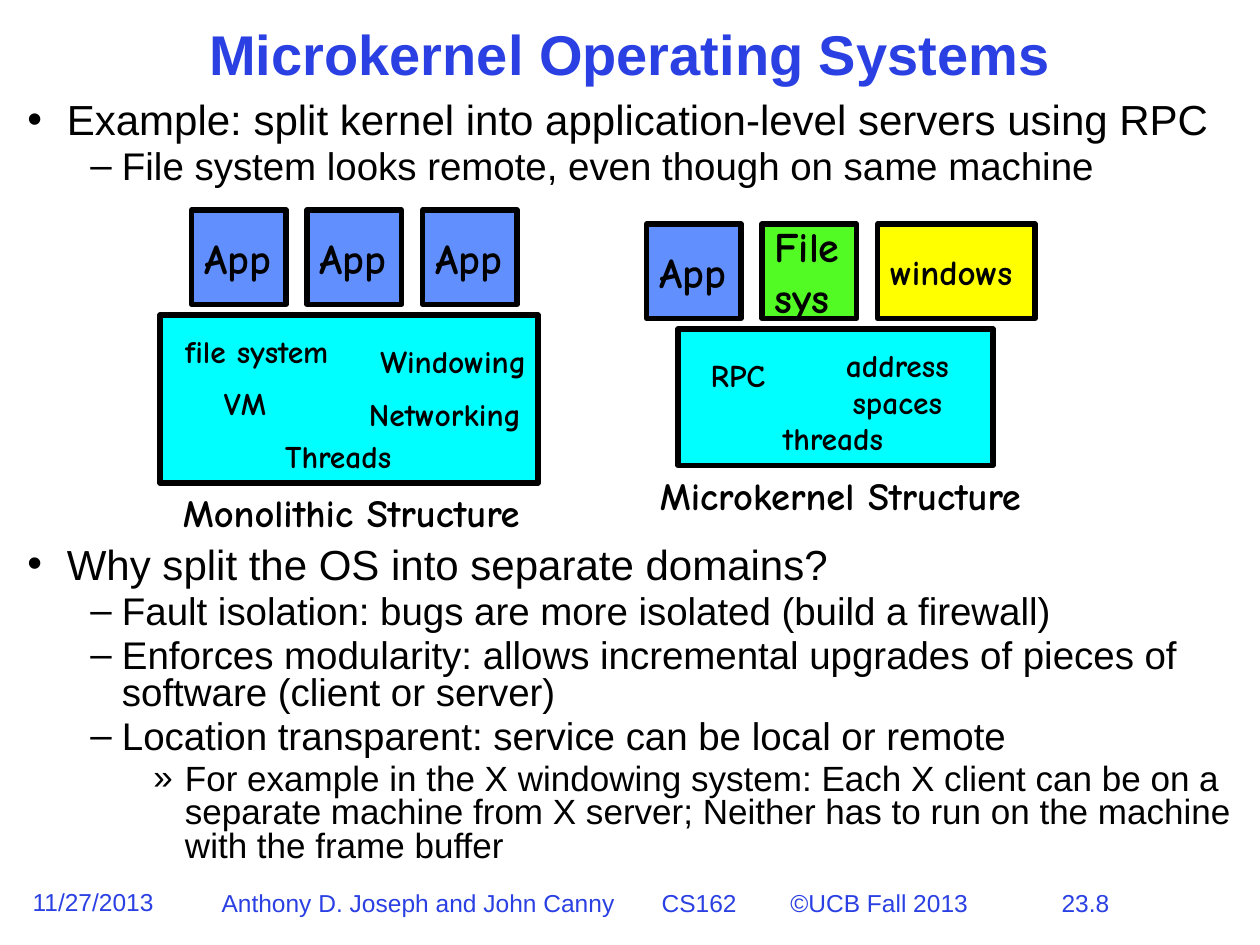
from lxml.etree import SubElement
from pptx import Presentation
from pptx.dml.color import RGBColor
from pptx.enum.shapes import MSO_SHAPE as Shape
from pptx.enum.text import MSO_ANCHOR as Anchor, MSO_AUTO_SIZE as AutoSize, PP_ALIGN as Align
from pptx.oxml.ns import qn
from pptx.util import Pt

BLACK, BLUE = "000000", "2A40E2"
APP_BLUE, GREEN, YELLOW, CYAN = "618FFD", "53FB25", "FFFF00", "00FFFF"
BODY_FONT, DIAGRAM_FONT = "Arial", "Comic Neue"

# Per level: bullet, text indent, hanging indent, size, space before
LEVELS = [("•", 22.5, 22.5, 24, 4.5), ("–", 54, 18, 22, 4.1), ("»", 90, 18, 20, 3.7)]
DIAGRAM_GAP = 206  # room for the diagrams between the two bullet groups

BULLETS = [
    (0, "Example: split kernel into application-level servers using RPC"),
    (1, "File system looks remote, even though on same machine"),
    (0, "Why split the OS into separate domains?"),
    (1, "Fault isolation: bugs are more isolated (build a firewall)"),
    (1, "Enforces modularity: allows incremental upgrades of pieces of software "
        "(client or server)"),
    (1, "Location transparent: service can be local or remote"),
    (2, "For example in the X windowing system: Each X client can be on a separate "
        "machine from X server; Neither has to run on the machine with the frame buffer"),
]


def color(hex_value):
    return RGBColor.from_string(hex_value)


def place(shape, left, top, width, height):
    shape.left, shape.top = Pt(left), Pt(top)
    shape.width, shape.height = Pt(width), Pt(height)


def format_runs(paragraph, size, font_name, hex_value, bold=False):
    for run in paragraph.runs:
        font = run.font
        font.size, font.name, font.bold = Pt(size), font_name, bold
        font.color.rgb = color(hex_value)


def set_indent(paragraph, left, hanging):
    properties = paragraph._p.get_or_add_pPr()
    properties.set("marL", str(Pt(left)))
    properties.set("indent", str(-Pt(hanging)))
    return properties


def add_tab_stops(paragraph, positions):
    tabs = SubElement(paragraph._p.get_or_add_pPr(), qn("a:tabLst"))
    for position in positions:
        SubElement(tabs, qn("a:tab"), pos=str(Pt(position)), algn="l")


def fill_title(title, text):
    place(title, 78, 12, 564, 42)
    frame = title.text_frame
    frame.text = text
    frame.vertical_anchor = Anchor.MIDDLE
    frame.auto_size = AutoSize.NONE
    paragraph = frame.paragraphs[0]
    paragraph.alignment, paragraph.line_spacing = Align.CENTER, 0.9
    format_runs(paragraph, 32, BODY_FONT, BLUE, bold=True)


def fill_body(body):
    place(body, 8.5, 55.5, 703, 466.5)
    frame = body.text_frame
    frame.auto_size = AutoSize.NONE
    frame.text = "\n".join(text for _, text in BULLETS)
    for index, (paragraph, (level, _)) in enumerate(zip(frame.paragraphs, BULLETS)):
        bullet, left, hanging, size, space = LEVELS[level]
        paragraph.level = level
        properties = set_indent(paragraph, left, hanging)
        bullet_color = SubElement(properties, qn("a:buClr"))
        SubElement(bullet_color, qn("a:srgbClr"), val=BLACK)
        SubElement(properties, qn("a:buChar"), char=bullet)
        paragraph.line_spacing = 0.8
        if index == 0:
            space = 0
        elif level == 0:
            space = DIAGRAM_GAP
        paragraph.space_before = Pt(space)
        format_runs(paragraph, size, BODY_FONT, BLACK)


def add_box(shapes, left, top, width, height, fill, text="", size=24):
    box = shapes.add_shape(Shape.RECTANGLE, Pt(left), Pt(top), Pt(width), Pt(height))
    box.shadow.inherit = False
    box.fill.solid()
    box.fill.fore_color.rgb = color(fill)
    box.line.color.rgb = color(BLACK)
    box.line.width = Pt(3)
    if text:
        frame = box.text_frame
        frame.text = text
        frame.word_wrap = False
        frame.vertical_anchor = Anchor.MIDDLE
        for paragraph in frame.paragraphs:
            set_indent(paragraph, 18, 18)
            paragraph.alignment = Align.LEFT
            format_runs(paragraph, size, DIAGRAM_FONT, BLACK, bold=True)


def add_label(shapes, left, top, width, height, text, size=18):
    label = shapes.add_textbox(Pt(left), Pt(top), Pt(width), Pt(height))
    frame = label.text_frame
    frame.text = text
    frame.word_wrap = False
    frame.auto_size = AutoSize.SHAPE_TO_FIT_TEXT
    for paragraph in frame.paragraphs:
        set_indent(paragraph, 18, 18)
        paragraph.alignment = Align.CENTER
        format_runs(paragraph, size, DIAGRAM_FONT, BLACK, bold=True)


def add_diagram(slide, left, top, servers, kernel, labels, caption):
    """Row of servers above a kernel box, with labels inside and a caption below."""
    shapes = slide.shapes.add_group_shape().shapes
    for index, (text, fill, width, size) in enumerate(servers):
        add_box(shapes, left + 66 * index, top, width, 54, fill, text, size)
    add_box(shapes, *kernel, CYAN)
    for label in labels:
        add_label(shapes, *label)
    add_label(shapes, *caption, size=22)


def add_footer(slide, left, top, width, text, tab_stops=()):
    footer = slide.shapes.add_textbox(Pt(left), Pt(top), Pt(width), Pt(24))
    frame = footer.text_frame
    frame.word_wrap = True
    frame.text = text
    paragraph = frame.paragraphs[0]
    if tab_stops:
        add_tab_stops(paragraph, tab_stops)
    format_runs(paragraph, 14, BODY_FONT, BLUE)


def main():
    presentation = Presentation()
    presentation.slide_width, presentation.slide_height = Pt(720), Pt(540)
    slide = presentation.slides.add_slide(presentation.slide_layouts[1])

    # Title and bullets
    fill_title(slide.shapes.title, "Microkernel Operating Systems")
    fill_body(slide.placeholders[1])

    # Monolithic structure
    app = ("App", APP_BLUE, 54, 24)
    add_diagram(
        slide, 109.5, 120, [app] * 3, (91.5, 180, 216, 96),
        [(80.5, 186, 132.5, 29, "file system"),
         (192, 192, 134, 29, "Windowing"),
         (185.5, 222, 137.5, 29, "Networking"),
         (103, 216, 74, 29, "VM"),
         (137.5, 246, 111.5, 29, "Threads")],
        (79, 276, 243.5, 33, "Monolithic Structure"))

    # Microkernel structure
    add_diagram(
        slide, 369.5, 128,
        [app, ("File\nsys", GREEN, 54, 24), ("windows", YELLOW, 90, 20)],
        (387.5, 188, 180, 78),
        [(381, 200, 81.5, 29, "RPC"),
         (458, 194, 109.5, 50, "address\nspaces"),
         (422, 236, 108, 29, "threads")],
        (351.5, 266, 257.5, 33, "Microkernel Structure"))

    # Footer
    add_footer(slide, 11.5, 503.5, 90, "11/27/2013")
    add_footer(slide, 119.5, 504, 450,
               "Anthony D. Joseph and John Canny\tCS162\t©UCB Fall 2013", (251.5, 325))
    add_footer(slide, 599.5, 504, 98, "23.8")

    presentation.save("out.pptx")


if __name__ == "__main__":
    main()
